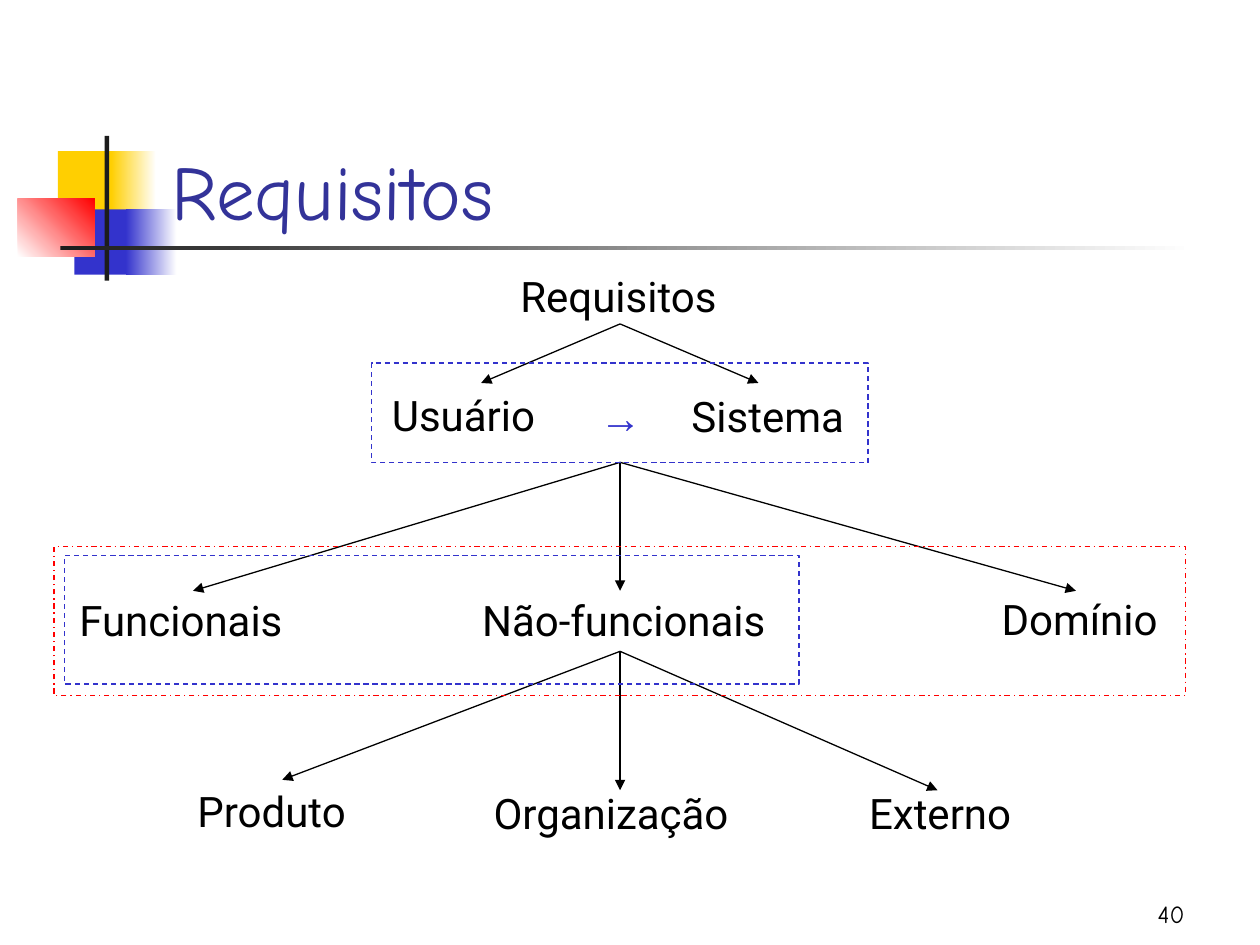
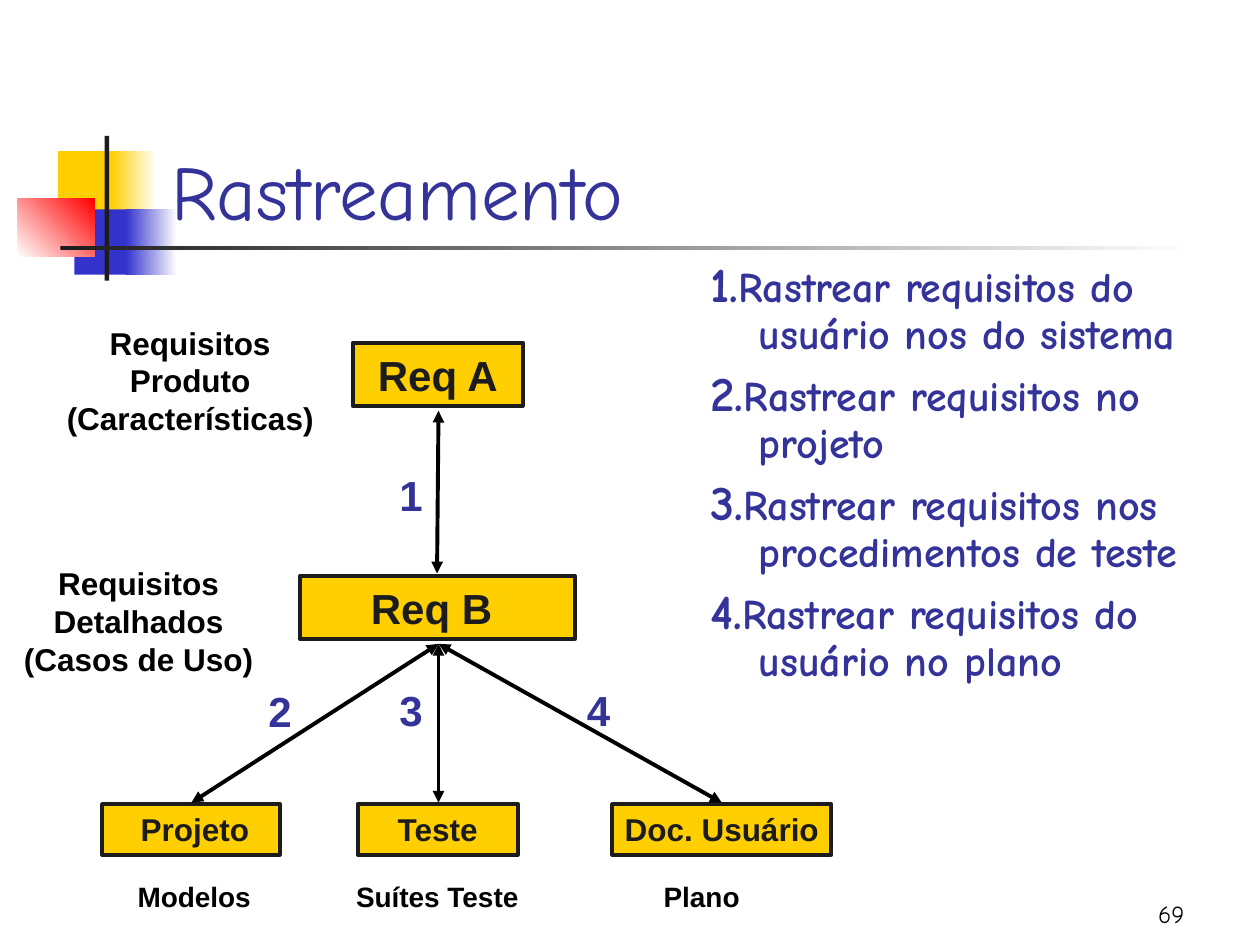
from lxml.etree import SubElement
from pptx import Presentation
from pptx.dml.color import RGBColor
from pptx.enum.dml import MSO_LINE
from pptx.enum.shapes import MSO_CONNECTOR, MSO_SHAPE
from pptx.enum.text import MSO_ANCHOR as ANCHOR, MSO_AUTO_SIZE as AUTO_SIZE, PP_ALIGN as ALIGN
from pptx.oxml.ns import qn
from pptx.util import Cm, Pt

COLORS = {
    "yellow": "FFCF01",
    "blue": "3333CC",
    "red": "FF0000",
    "indigo": "333399",
    "dark": "1C1C1C",
    "black": "000000",
    "white": "FFFFFF",
}
COLORS = {name: RGBColor.from_string(value) for name, value in COLORS.items()}
DISPLAY, BODY, LABEL = "Comic Neue", "Roboto", "Arial"


def write_text(shape, text, size, font, color="black", bold=False,
               align=ALIGN.LEFT, anchor=ANCHOR.TOP, wrap=False):
    frame = shape.text_frame
    frame.text = text
    frame.word_wrap = wrap
    frame.auto_size = AUTO_SIZE.NONE if wrap else AUTO_SIZE.SHAPE_TO_FIT_TEXT
    frame.vertical_anchor = anchor
    for paragraph in frame.paragraphs:
        paragraph.alignment = align
        for run in paragraph.runs:
            run.font.name = font
            run.font.size = Pt(size)
            run.font.bold = bold
            run.font.color.rgb = COLORS[color]


def draw_arrow(slide, start, end, width, both_ends=False):
    points = [Cm(value) for value in (*start, *end)]
    connector = slide.shapes.add_connector(MSO_CONNECTOR.STRAIGHT, *points)
    connector.line.color.rgb = COLORS["black"]
    connector.line.width = Pt(width)
    line = connector.line._get_or_add_ln()
    for tag in ("a:headEnd", "a:tailEnd") if both_ends else ("a:tailEnd",):
        SubElement(line, qn(tag)).set("type", "triangle")
    SubElement(connector.element.spPr, qn("a:effectLst"))


presentation = Presentation()
presentation.slide_width = Cm(25.4)
presentation.slide_height = Cm(19.05)
layout = presentation.slide_layouts[5]

slides = []
for title_text, number in [("Requisitos", "40"), ("Rastreamento", "69")]:
    slide = presentation.slides.add_slide(layout)
    title = slide.shapes.title
    title.left, title.top, title.width, title.height = Cm(3.2), Cm(1.7), Cm(21.64), Cm(3.18)
    write_text(title, title_text, 44, DISPLAY, "indigo", anchor=ANCHOR.BOTTOM, wrap=True)
    number_box = slide.shapes.add_textbox(Cm(18.85), Cm(17.58), Cm(5.28), Cm(1.27))
    write_text(number_box, number, 14, DISPLAY, align=ALIGN.RIGHT, anchor=ANCHOR.BOTTOM, wrap=True)
    slides.append(slide)
requirements_slide, tracing_slide = slides

decorations = [
    (1.17, 3.05, 1.22, 1.32, ["yellow"], 0),
    (2.24, 3.05, 0.91, 1.32, ["yellow", "white"], 0),
    (1.5, 4.22, 1.17, 1.32, ["blue"], 0),
    (2.54, 4.22, 1.02, 1.32, ["blue", "white"], 0),
    (0.36, 4.01, 1.55, 1.17, ["white", "red"], 45),
    (2.11, 2.74, 0.09, 2.92, ["dark"], 0),
    (1.22, 4.95, 22.86, 0.09, ["dark", "white"], 0),
]
for left, top, width, height, fills, angle in decorations:
    shape = requirements_slide.shapes.add_shape(
        MSO_SHAPE.RECTANGLE, Cm(left), Cm(top), Cm(width), Cm(height))
    shape.shadow.inherit = False
    shape.line.fill.background()
    if len(fills) == 1:
        shape.fill.solid()
        shape.fill.fore_color.rgb = COLORS[fills[0]]
    else:
        shape.fill.gradient()
        shape.fill.gradient_angle = angle
        for stop, color in zip(shape.fill.gradient_stops, fills):
            stop.color.rgb = COLORS[color]
    layout.shapes.element.append(shape.element)

tree_labels = [
    ("Requisitos", 10.24, 5.33, 4.62),
    ("Usuário", 7.65, 7.72, 3.61),
    ("Sistema", 13.69, 7.75, 3.63),
    ("Funcionais", 1.35, 11.86, 4.75),
    ("Não-funcionais", 9.47, 11.86, 6.5),
    ("Domínio", 19.94, 11.84, 3.89),
    ("Produto", 3.73, 15.72, 3.73),
    ("Organização", 9.7, 15.75, 5.51),
    ("Externo", 17.27, 15.75, 3.58),
]
for text, left, top, width in tree_labels:
    label = requirements_slide.shapes.add_textbox(Cm(left), Cm(top), Cm(width), Cm(1.27))
    write_text(label, text, 24, BODY)
becomes = requirements_slide.shapes.add_textbox(Cm(11.84), Cm(7.77), Cm(1.35), Cm(1.27))
write_text(becomes, "→", 24, LABEL, "blue")

tree_center = 12.5
tree_branches = [
    (6.53, [(9.7, 7.72), (15.29, 7.72)]),
    (9.32, [(3.89, 11.91), (tree_center, 11.91), (21.69, 11.91)]),
    (13.13, [(5.69, 15.72), (tree_center, 15.93), (18.9, 15.93)]),
]
for top, ends in tree_branches:
    for end in ends:
        draw_arrow(requirements_slide, (tree_center, top), end, 0.75)

frames = [
    (7.49, 7.32, 10.01, 2.01, "blue", MSO_LINE.DASH),
    (1.3, 11.2, 14.81, 2.59, "blue", MSO_LINE.DASH),
    (1.09, 11.02, 22.81, 3, "red", MSO_LINE.DASH_DOT),
]
for left, top, width, height, color, dash in frames:
    frame = requirements_slide.shapes.add_shape(
        MSO_SHAPE.RECTANGLE, Cm(left), Cm(top), Cm(width), Cm(height))
    frame.shadow.inherit = False
    frame.fill.background()
    frame.line.color.rgb = COLORS[color]
    frame.line.width = Pt(0.75)
    frame.line.dash_style = dash

goals = [
    "Rastrear requisitos do usuário nos do sistema",
    "Rastrear requisitos no projeto",
    "Rastrear requisitos nos procedimentos de teste",
    "Rastrear requisitos do usuário no plano",
]
goal_list = tracing_slide.shapes.add_textbox(Cm(14.07), Cm(5.13), Cm(11.02), Cm(8.94))
write_text(goal_list, "\n".join(f"{index}." for index in range(1, len(goals) + 1)),
           28, DISPLAY, "indigo", bold=True, wrap=True)
for paragraph, goal in zip(goal_list.text_frame.paragraphs, goals):
    paragraph.line_spacing = 0.9
    paragraph.space_before = Pt(6)
    properties = paragraph._p.get_or_add_pPr()
    properties.set("marL", str(Cm(0.97)))
    properties.set("indent", str(-Cm(0.97)))
    run = paragraph.add_run()
    run.text = goal
    run.font.name = DISPLAY
    run.font.size = Pt(24)
    run.font.bold = True
    run.font.color.rgb = COLORS["indigo"]

boxes = [
    ("Req A", 7.11, 6.91, 3.43, 1.27, 24, 0, 0),
    ("Req B", 6.05, 11.61, 5.54, 1.27, 24, 0, 0.24),
    ("Projeto", 2.06, 16.21, 3.58, 1.02, 18, 0.16, 0),
    ("Teste", 7.21, 16.21, 3.23, 1.02, 18, 0, 0),
    ("Doc. Usuário", 12.34, 16.21, 4.42, 1.02, 18, 0, 0),
]
for text, left, top, width, height, size, extra_left, extra_right in boxes:
    box = tracing_slide.shapes.add_shape(
        MSO_SHAPE.RECTANGLE, Cm(left), Cm(top), Cm(width), Cm(height))
    box.shadow.inherit = False
    box.fill.solid()
    box.fill.fore_color.rgb = COLORS["yellow"]
    box.line.color.rgb = COLORS["dark"]
    box.line.width = Pt(2.25)
    write_text(box, text, size, LABEL, "dark", True, ALIGN.CENTER, ANCHOR.MIDDLE)
    box.text_frame.auto_size = AUTO_SIZE.NONE
    box.text_frame.margin_left = Cm(0.25 + extra_left)
    box.text_frame.margin_right = Cm(0.25 + extra_right)

side_labels = [
    ("Requisitos\nProduto\n(Características)", 1.09, 6.4, 5.49),
    ("Requisitos\nDetalhados\n(Casos de Uso)", 0.23, 11.25, 5.13),
]
for text, left, top, width in side_labels:
    label = tracing_slide.shapes.add_textbox(Cm(left), Cm(top), Cm(width), Cm(2.54))
    write_text(label, text, 18, LABEL, bold=True, align=ALIGN.CENTER)

captions = [("Modelos", 1.12, 5.59), ("Suítes Teste", 6.76, 4.11), ("Plano", 11.58, 5.13)]
for text, left, width in captions:
    caption = tracing_slide.shapes.add_textbox(Cm(left), Cm(17.6), Cm(width), Cm(0.94))
    write_text(caption, text, 16, LABEL, bold=True, align=ALIGN.CENTER, wrap=True)

link_numbers = [("1", 7.8, 9.35), ("2", 5.16, 13.69), ("3", 7.8, 13.67), ("4", 11.58, 13.67)]
for text, left, top in link_numbers:
    link_number = tracing_slide.shapes.add_textbox(Cm(left), Cm(top), Cm(0.99), Cm(1.27))
    write_text(link_number, text, 24, LABEL, "indigo", bold=True)

draw_arrow(tracing_slide, (8.84, 8.28), (8.81, 11.56), 2.25, both_ends=True)
for end_left in (3.86, 8.84, 14.55):
    draw_arrow(tracing_slide, (8.84, 12.98), (end_left, 16.18), 2.25, both_ends=True)

presentation.save("out.pptx")
